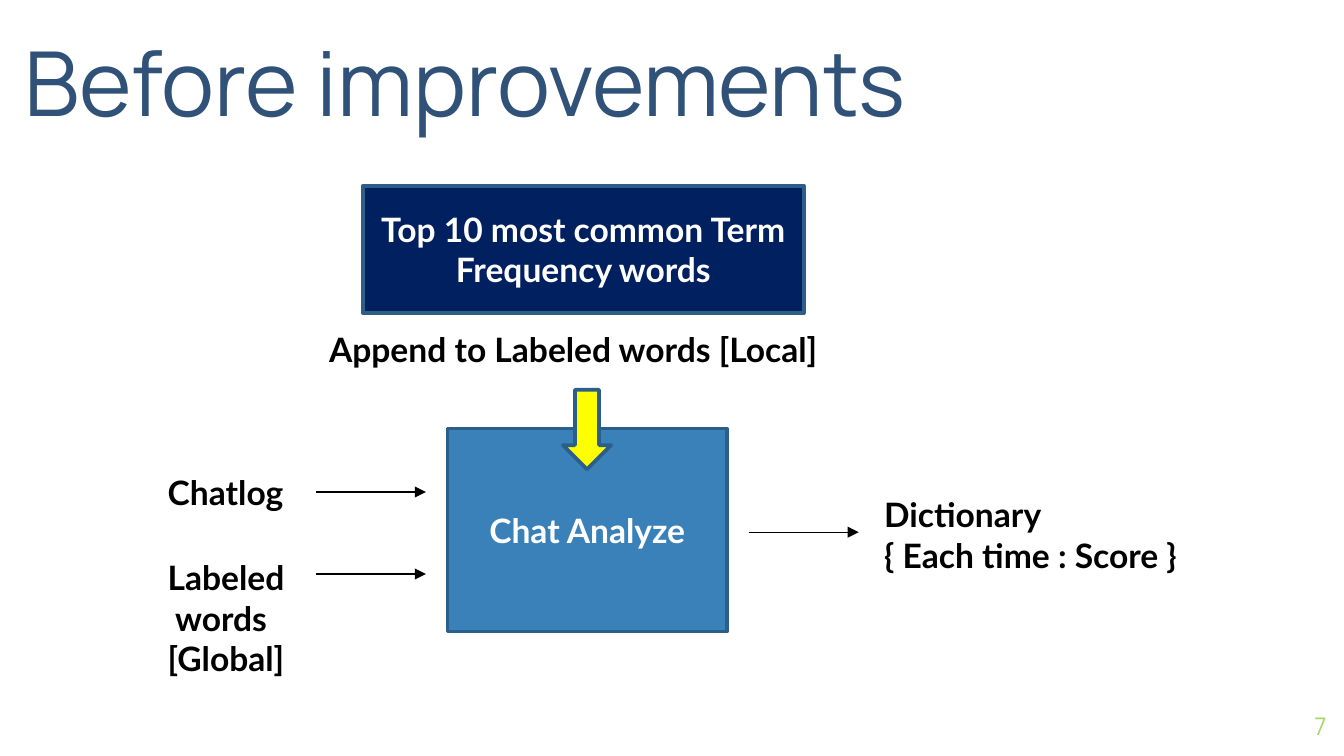
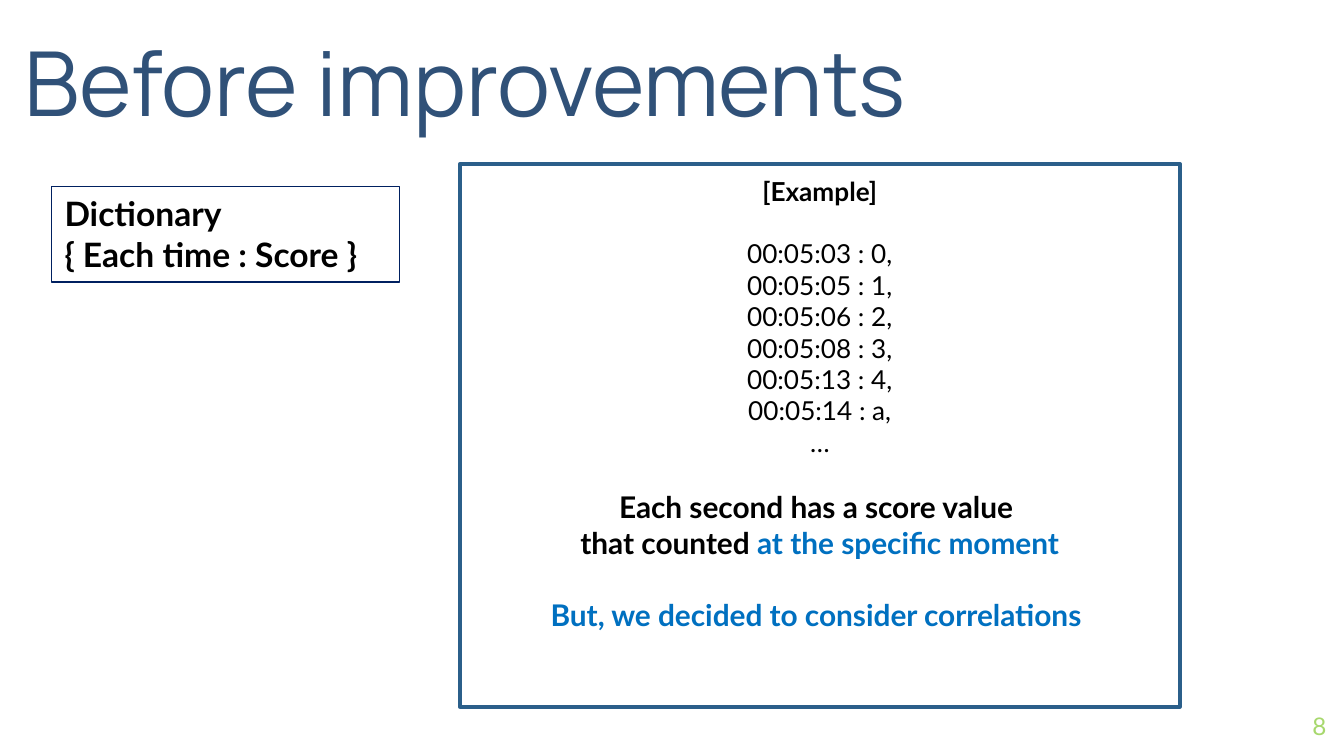
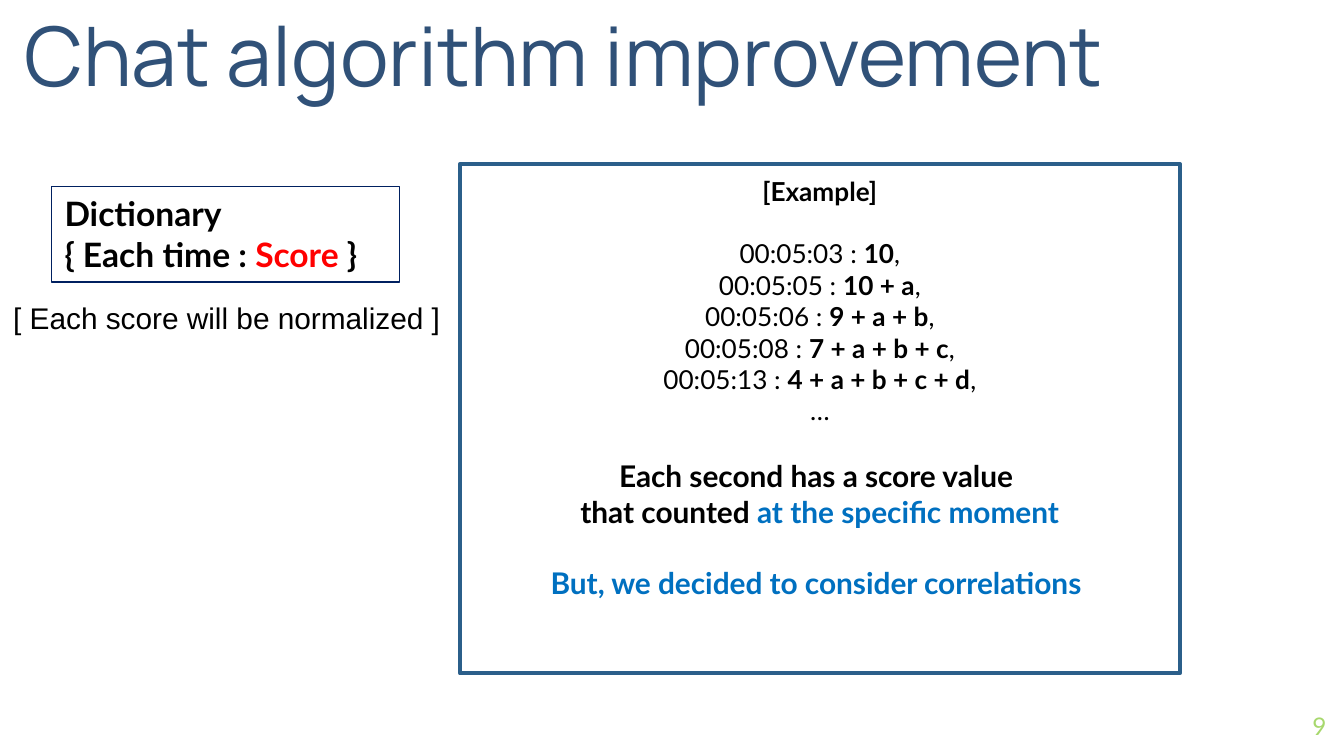
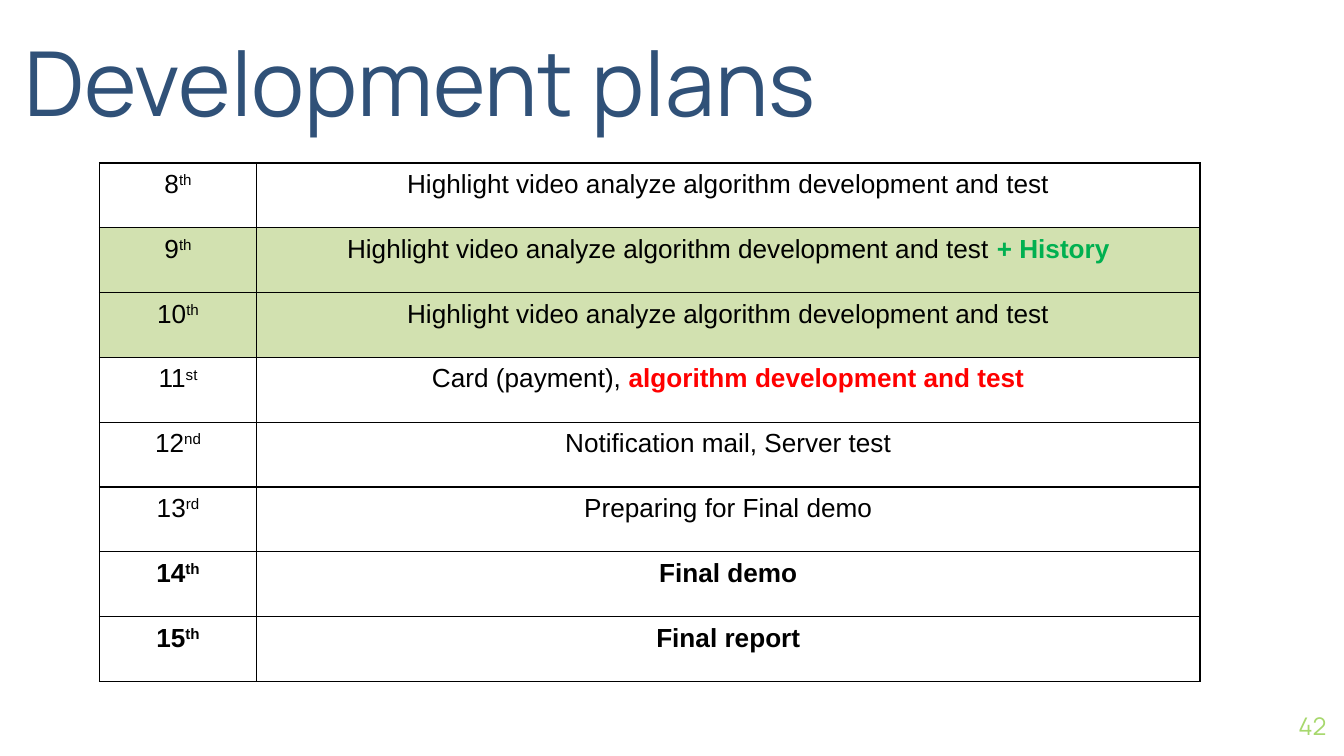
from lxml import etree
from pptx import Presentation
from pptx.dml.color import RGBColor
from pptx.enum.shapes import MSO_CONNECTOR, MSO_SHAPE
from pptx.enum.text import MSO_ANCHOR, MSO_AUTO_SIZE, PP_ALIGN
from pptx.oxml import parse_xml
from pptx.oxml.ns import nsdecls, qn
from pptx.util import Cm, Pt

RECTANGLE, DOWN_ARROW = MSO_SHAPE.RECTANGLE, MSO_SHAPE.DOWN_ARROW
STRAIGHT = MSO_CONNECTOR.STRAIGHT
TOP, MIDDLE, BOTTOM = MSO_ANCHOR.TOP, MSO_ANCHOR.MIDDLE, MSO_ANCHOR.BOTTOM
LEFT, CENTER, RIGHT = PP_ALIGN.LEFT, PP_ALIGN.CENTER, PP_ALIGN.RIGHT

COLORS = {
    "title": "305178", "number": "A7D86D", "text": "000000", "white": "FFFFFF",
    "outline": "2B5F8A", "analyze": "3A81BA", "navy": "002060", "arrow": "FFFF00",
    "highlight": "0070C0", "red": "FF0000", "green": "00B050", "done": "D2E1B0",
}


def write(frame, paragraphs, size=18, bold=True, color="text", font="Lato",
          align=LEFT, anchor=TOP):
    """Each paragraph is a list of runs: (text, changes to the style)."""
    frame.word_wrap = True
    frame.vertical_anchor = anchor
    for index, runs in enumerate(paragraphs):
        paragraph = frame.paragraphs[0] if index == 0 else frame.add_paragraph()
        paragraph.alignment = align
        for text, changes in runs:
            style = {"size": size, "bold": bold, "color": color, **changes}
            run = paragraph.add_run()
            run.text = text
            run.font.name = font
            run.font.size = Pt(style["size"])
            run.font.bold = style["bold"]
            run.font.color.rgb = RGBColor.from_string(COLORS[style["color"]])
            if style.get("raised"):
                run.font._element.set("baseline", "30000")


def add_box(slide, kind, bounds, fill, line, line_width):
    shape = slide.shapes.add_shape(kind, *[Cm(length) for length in bounds])
    shape.shadow.inherit = False
    if fill:
        shape.fill.solid()
        shape.fill.fore_color.rgb = RGBColor.from_string(COLORS[fill])
    else:
        shape.fill.background()
    shape.line.color.rgb = RGBColor.from_string(COLORS[line])
    shape.line.width = Pt(line_width)
    return shape


presentation = Presentation()
presentation.slide_width = Cm(25.4)
presentation.slide_height = Cm(14.29)

# Titles and slide numbers: title, size, width, height, number, number font
headings = [
    ("Before improvements", 48, 19.43, 2.39, "7", "Manrope"),
    ("Before improvements", 48, 19.43, 2.39, "8", "Lato"),
    ("Chat algorithm improvement", 44, 24.94, 1.8, "9", "Lato"),
    ("Development plans", 48, 17.5, 2.39, "42", "Manrope"),
]
slides = []
for title_text, size, width, height, number, number_font in headings:
    slide = presentation.slides.add_slide(presentation.slide_layouts[5])
    title = slide.shapes.title
    title.left, title.top, title.width, title.height = Cm(0.46), Cm(0.15), Cm(width), Cm(height)
    number_box = slide.shapes.add_textbox(Cm(23.55), Cm(13.18), Cm(1.52), Cm(1.09))
    for frame in (title.text_frame, number_box.text_frame):
        frame.auto_size = MSO_AUTO_SIZE.NONE
        frame.margin_left = frame.margin_top = frame.margin_right = frame.margin_bottom = 0
    write(title.text_frame, [[(title_text, {})]], size, False, "title", "Manrope", LEFT, BOTTOM)
    write(number_box.text_frame, [[(number, {})]], 13, False, "number", number_font, RIGHT, MIDDLE)
    slides.append(slide)
flow_slide, before_slide, after_slide, plan_slide = slides

# Flow: boxes
for text, bounds, fill in [
    ("Chat Analyze", (8.46, 8.1, 5.28, 3.84), "analyze"),
    ("Top 10 most common Term Frequency words", (6.86, 3.51, 8.33, 2.41), "navy"),
]:
    box = add_box(flow_slide, RECTANGLE, bounds, fill, "outline", 2)
    write(box.text_frame, [[(text, {})]], color="white", align=CENTER, anchor=MIDDLE)
add_box(flow_slide, DOWN_ARROW, (10.64, 7.37, 0.91, 1.5), "arrow", "outline", 2)

# Flow: labels
for lines, bounds in [
    (["Chatlog"], (2.92, 8.79, 2.92, 1.02)),
    (["Labeled", " words", "[Global]"], (2.92, 10.41, 2.95, 2.57)),
    (["Dictionary", "{ Each time : Score }"], (16.46, 9.22, 6.58, 1.8)),
    (["Append to Labeled words [Local]"], (5.97, 6.1, 10.64, 1.02)),
]:
    label = flow_slide.shapes.add_textbox(*[Cm(length) for length in bounds])
    write(label.text_frame, [[(line, {})] for line in lines])

# Flow: inputs and output
for start, height in [(5.97, 9.3), (5.97, 10.85), (14.15, 10.06)]:
    connector = flow_slide.shapes.add_connector(
        STRAIGHT, Cm(start), Cm(height), Cm(start + 2.08), Cm(height))
    connector.line.color.rgb = RGBColor.from_string(COLORS["text"])
    connector.line.width = Pt(0.75)
    etree.SubElement(connector.line._get_or_add_ln(), qn("a:tailEnd"), type="triangle")
    etree.SubElement(connector._element.spPr, qn("a:effectLst"))

# Examples: time and score lists beside the dictionary box
before_scores = [[(f"{time} : {score},", {"bold": False})] for time, score in [
    ("00:05:03", "0"), ("00:05:05", "1"), ("00:05:06", "2"),
    ("00:05:08", "3"), ("00:05:13", "4"), ("00:05:14", "a"),
]]
after_scores = [
    [(f"{time} : ", {"bold": False}), (score, {}), (",", {"bold": False})]
    for time, score in [
        ("00:05:03", "10"), ("00:05:05", "10 + a"), ("00:05:06", "9 + a + b"),
        ("00:05:08", "7 + a + b + c"), ("00:05:13", "4 + a + b + c + d"),
    ]
]
remark, emphasis = {"size": 16}, {"size": 16, "color": "highlight"}
for slide, scores, height, score_color in [
    (before_slide, before_scores, 10.26, "text"),
    (after_slide, after_scores, 9.63, "red"),
]:
    example = add_box(slide, RECTANGLE, (8.69, 3.1, 13.61, height), "white", "outline", 2)
    frame = example.text_frame
    frame.margin_top = Cm(0.21)
    write(frame, [
        [("[Example]", {})],
        *scores,
        [("…", {"bold": False})],
        [("Each second has a score value ", remark)],
        [("that counted ", remark), ("at the specific moment", emphasis)],
        [("But, we decided to consider correlations ", emphasis)],
    ], size=14, align=CENTER)
    for index, gap in [(1, 16.8), (-3, 16.8), (-1, 19.2)]:
        frame.paragraphs[index].space_before = Pt(gap)

    dictionary = add_box(slide, RECTANGLE, (0.97, 3.53, 6.58, 1.8), None, "navy", 0.75)
    write(dictionary.text_frame, [
        [("Dictionary", {})],
        [("{ Each time : ", {}), ("Score", {"color": score_color}), (" }", {})],
    ])

note = after_slide.shapes.add_textbox(Cm(0), Cm(5.54), Cm(8.69), Cm(0.94))
write(note.text_frame, [[("[ Each score will be normalized ]", {})]], 16, False, font="Arial")

# Development plan: week, ordinal ending, task, coloured addition, its colour, fill, bold
analysis = "Highlight video analyze algorithm development and test"
plans = [
    ("8", "th", analysis, "", "text", "white", False),
    ("9", "th", analysis + " ", "+ History", "green", "done", False),
    ("10", "th", analysis, "", "text", "done", False),
    ("11", "st", "Card (payment), ", "algorithm development and test", "red", "white", False),
    ("12", "nd", "Notification mail, Server test", "", "text", "white", False),
    ("13", "rd", "Preparing for Final demo", "", "text", "white", False),
    ("14", "th", "Final demo", "", "text", "white", True),
    ("15", "th", "Final report", "", "text", "white", True),
]
table = plan_slide.shapes.add_table(
    len(plans), 2, Cm(1.88), Cm(3.08), Cm(20.8), Cm(9.8)).table
table.first_row = table.horz_banding = False
table.columns[0].width, table.columns[1].width = Cm(2.97), Cm(17.83)
for row, (week, ending, task, addition, addition_color, fill, bold) in zip(table.rows, plans):
    task_runs = [(task, {})]
    if addition:
        task_runs.append((addition, {"bold": True, "color": addition_color}))
    for cell, runs in zip(row.cells, [[(week, {}), (ending, {"raised": True})], task_runs]):
        write(cell.text_frame, [runs], 14, bold, font="Arial", align=CENTER)
        cell.fill.solid()
        cell.fill.fore_color.rgb = RGBColor.from_string(COLORS[fill])
        properties = cell._tc.get_or_add_tcPr()
        for index, side in enumerate(("lnL", "lnR", "lnT", "lnB")):
            properties.insert(index, parse_xml(
                f'<a:{side} {nsdecls("a")} w="{Pt(0.75)}"><a:solidFill>'
                f'<a:srgbClr val="{COLORS["text"]}"/></a:solidFill></a:{side}>'))

presentation.save("out.pptx")
